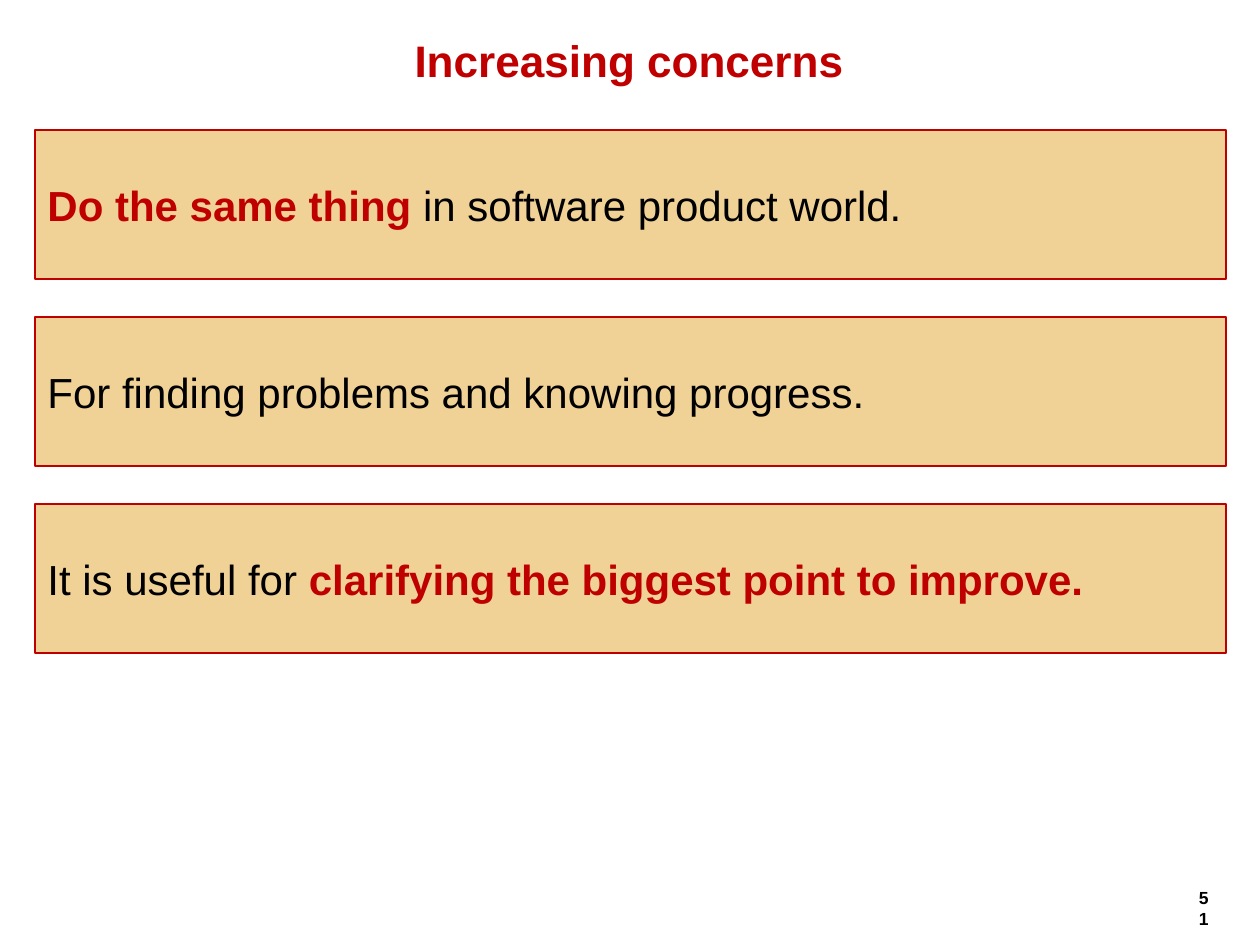
from pptx import Presentation
from pptx.dml.color import RGBColor
from pptx.enum.shapes import MSO_SHAPE
from pptx.enum.text import MSO_ANCHOR, PP_ALIGN
from pptx.util import Inches, Pt

COLORS = {
    "paper": "FFFFFF",
    "title": "C00000",
    "accent": "BF0000",
    "panel": "F0D296",
    "ink": "000000",
}
PX_PER_INCH = 126


def px(length):
    return Inches(length / PX_PER_INCH)


def color(name):
    return RGBColor.from_string(COLORS[name])


class SlideBuilder:
    """Holds the text style and the current slide, and adds elements to it."""

    def __init__(self, page, font_name="Arial"):
        self.page = page
        self.font_name = font_name

    def add_text(self, box, spans, size, align, anchor):
        frame = box.text_frame
        frame.word_wrap = True
        frame.vertical_anchor = anchor
        para = frame.paragraphs[0]
        para.alignment = align
        for text, ink, bold in spans:
            span = para.add_run()
            span.text = text
            span.font.name = self.font_name
            span.font.size = Pt(size)
            span.font.bold = bold
            span.font.color.rgb = color(ink)

    def label(self, area, spans, size, align, anchor=MSO_ANCHOR.TOP):
        box = self.page.shapes.add_textbox(*map(px, area))
        self.add_text(box, spans, size, align, anchor)
        return box

    def title(self, area, text):
        box = self.label(area, [(text, "title", True)], 25.2,
                         PP_ALIGN.CENTER, MSO_ANCHOR.MIDDLE)
        box.fill.solid()
        box.fill.fore_color.rgb = color("paper")

    def panel(self, area, spans):
        box = self.page.shapes.add_shape(MSO_SHAPE.RECTANGLE, *map(px, area))
        box.shadow.inherit = False
        box.fill.solid()
        box.fill.fore_color.rgb = color("panel")
        box.line.color.rgb = color("accent")
        box.line.width = Pt(0.75)
        self.add_text(box, spans, 24, PP_ALIGN.LEFT, MSO_ANCHOR.MIDDLE)


def main():
    deck = Presentation()
    deck.slide_width, deck.slide_height = px(1260), px(945)
    builder = SlideBuilder(deck.slides.add_slide(deck.slide_layouts[6]))

    builder.label((1186, 881, 35, 34), [("51", "ink", True)], 10, PP_ALIGN.RIGHT)
    builder.title((49, 35, 1160, 49), "Increasing concerns")

    concerns = [
        [("Do the same thing", "accent", True),
         (" in software product world.", "ink", False)],
        [("For finding problems and knowing progress.", "ink", False)],
        [("It is useful for ", "ink", False),
         ("clarifying the biggest point to improve.", "accent", True)],
    ]
    top, pitch = 130, 187
    for index, spans in enumerate(concerns):
        builder.panel((35, top + index * pitch, 1191, 149), spans)

    deck.save("out.pptx")


if __name__ == "__main__":
    main()
